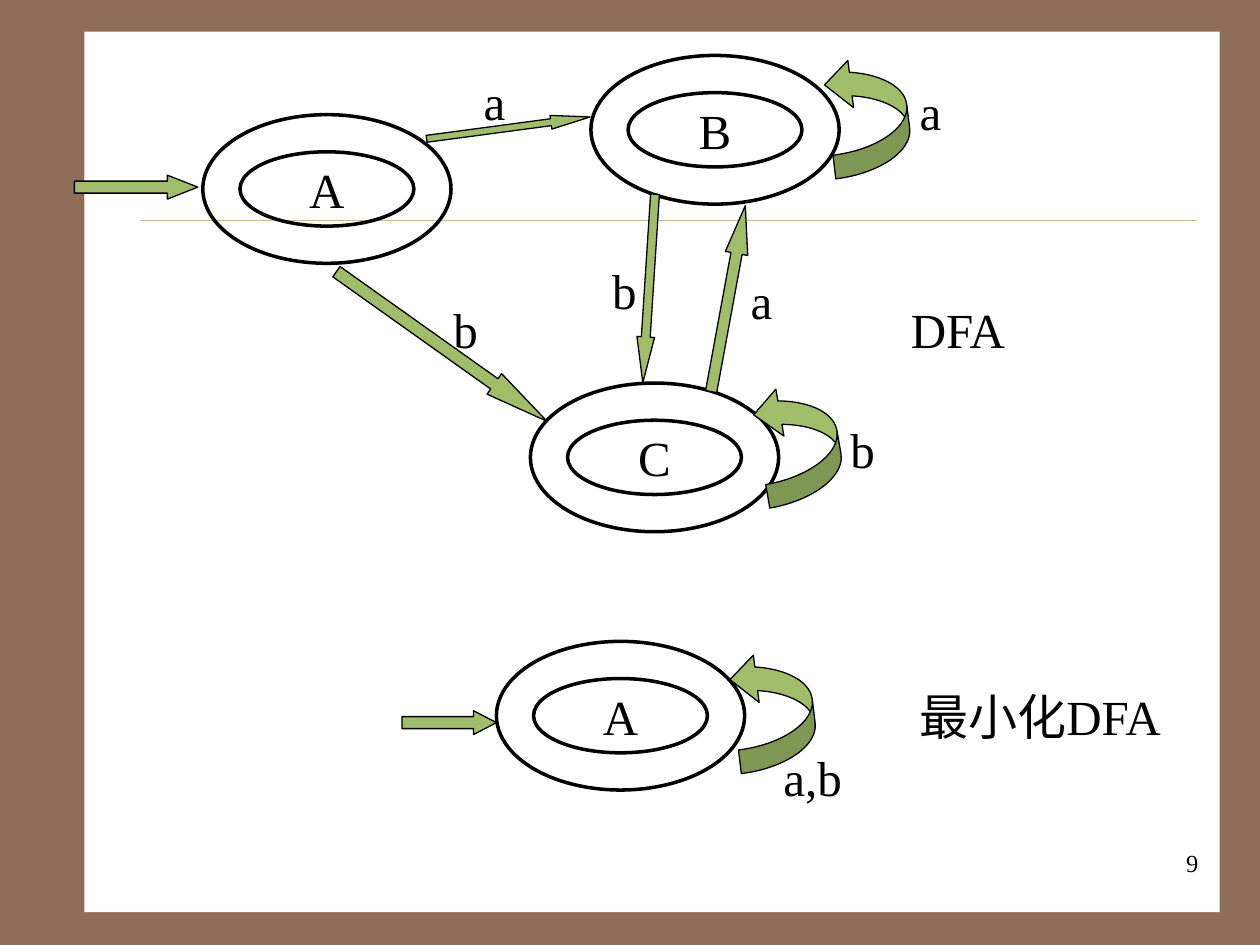
from pptx import Presentation, util as u
from pptx.dml.color import RGBColor
from pptx.enum import shapes, text
from pptx.oxml.ns import qn
from lxml import etree

COLORS = {"frame": "906D58", "paper": "FFFFFF", "rule": "CBBD83",
          "ink": "000000", "arrow": "A1BD69"}
FONT = "Times New Roman"
COLUMNS = 100
STATE = (19.7, 11.8)
LOOP = (9.4, 6.3)
LABEL = (3.1, 5.7)
AUTO = shapes.MSO_SHAPE


def color(name):
    """Return a palette colour."""
    return RGBColor.from_string(COLORS[name])


def grid(deck, *cells):
    """Turn grid cells into lengths on the slide."""
    return [round(deck.slide_width * cell / COLUMNS) for cell in cells]


def write(shape, words, size, align, anchor, wrap=True):
    """Write one formatted paragraph in a shape."""
    frame = shape.text_frame
    frame.word_wrap = wrap
    frame.vertical_anchor = anchor
    para = frame.paragraphs[0]
    para.text = words
    para.alignment = align
    para.font.size = u.Pt(size)
    para.font.name = FONT
    para.font.color.rgb = color("ink")


def add_shape(deck, page, kind, box, fill=None, line=None, turn=0, adjust=()):
    """Add a preset shape in the given grid box."""
    shape = page.shapes.add_shape(kind, *grid(deck, *box))
    shape.shadow.inherit = False
    shape.rotation = turn
    for index, value in enumerate(adjust):
        shape.adjustments[index] = value
    if fill:
        shape.fill.solid()
        shape.fill.fore_color.rgb = color(fill)
    else:
        shape.fill.background()
    if line:
        shape.line.color.rgb = color("ink")
        shape.line.width = u.Pt(line)
    else:
        shape.line.fill.background()
    return shape


def add_label(deck, page, box, words, size=28, align=text.PP_ALIGN.LEFT):
    """Add a text box in the given grid box."""
    label = page.shapes.add_textbox(*grid(deck, *box))
    write(label, words, size, align, text.MSO_ANCHOR.TOP)


def draw_frame(deck, page):
    """Draw the paper, the thin rule and the page number."""
    page.background.fill.solid()
    page.background.fill.fore_color.rgb = color("frame")
    add_shape(deck, page, AUTO.RECTANGLE, (6.7, 2.5, 90.1, 69.9), "paper")
    rule = page.shapes.add_connector(shapes.MSO_CONNECTOR.STRAIGHT,
                                     *grid(deck, 11.1, 17.5, 95, 17.5))
    rule.line.color.rgb = color("rule")
    rule.line.width = u.Pt(0.25)
    etree.SubElement(rule._element.spPr, qn("a:effectLst"))
    add_label(deck, page, (75.3, 66.8, 20.8, 5), "9", 14, text.PP_ALIGN.RIGHT)


def draw_automaton(deck, page, origin, states, arrows, loops, labels):
    """Draw one automaton with its parts placed from its origin."""
    left, top = origin
    for name, x, y in states:
        state = add_shape(deck, page, AUTO.DONUT, (left + x, top + y, *STATE),
                          line=2, adjust=(0.25,))
        write(state, name, 28, text.PP_ALIGN.CENTER,
              text.MSO_ANCHOR.MIDDLE, wrap=False)
    for x, y, width, height, turn, head in arrows:
        add_shape(deck, page, AUTO.RIGHT_ARROW,
                  (left + x, top + y, width, height),
                  "arrow", 0.75, turn, (0.5, head))
    for x, y, turn in loops:
        add_shape(deck, page, AUTO.CURVED_UP_ARROW, (left + x, top + y, *LOOP),
                  "arrow", 0.75, turn, (0.3, 0.6, 0.33))
    for words, x, y, *size in labels:
        add_label(deck, page, (left + x, top + y, *(size or LABEL)), words)


def draw_full_dfa(deck, page, origin):
    """Draw the automaton with three states."""
    draw_automaton(
        deck, page, origin,
        states=[("A", 10.1, 5.1), ("B", 40.9, 0.4), ("C", 36.1, 26.4)],
        arrows=[(-0.1, 9.9, 9.8, 1.9, 0, 1.27),
                (27.8, 5.6, 13.1, 1.1, 352.4, 2.86),
                (18.8, 22.5, 20.5, 2, 35.4, 2.56),
                (44.3, 18.8, 15, 1.8, 280.4, 2.14),
                (38, 18.2, 15, 1.4, 93.7, 2.6)],
        loops=[(58.2, 2, 263.1), (52.7, 28, 260.2)],
        labels=[("a", 31.4, 1.2), ("a", 52.6, 17), ("a", 66, 2),
                ("b", 29, 19.3), ("b", 60.5, 28.8), ("b", 41.6, 16.2),
                ("DFA", 65.3, 19.3, 14.2, 5.7)])


def draw_minimal_dfa(deck, page, origin):
    """Draw the minimised automaton with one state."""
    draw_automaton(
        deck, page, origin,
        states=[("A", 7.4, 0.9)],
        arrows=[(-0.1, 6.4, 7.5, 1.9, 0, 0.96)],
        loops=[(24.7, 3.2, 263.1)],
        labels=[("a,b", 29.2, 8.8, 7.7, 5.7),
                ("最小化DFA", 40, 4, 22.1, 10.4)])


def main():
    """Build and save the deck."""
    deck = Presentation()
    deck.slide_width, deck.slide_height = u.Inches(10), u.Inches(7.5)
    page = deck.slides.add_slide(deck.slide_layouts[6])
    draw_frame(deck, page)
    draw_full_dfa(deck, page, (6, 4))
    draw_minimal_dfa(deck, page, (32, 50))
    deck.save("out.pptx")


if __name__ == "__main__":
    main()
